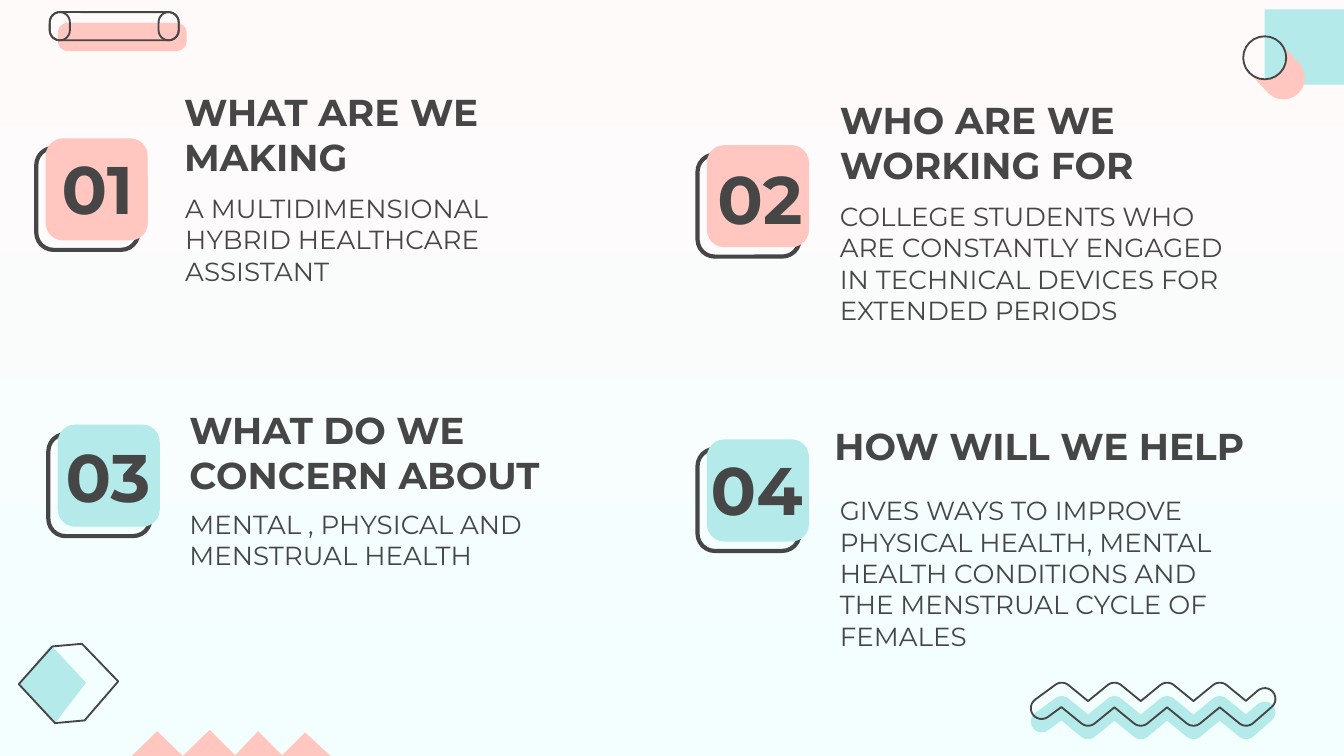
import math

from pptx import Presentation
from pptx.dml.color import RGBColor
from pptx.enum import shapes, text
from pptx.util import Inches, Pt

COLORS = {
    "ink": "464646",
    "pink": "FFC7C0",
    "teal": "B4EAEA",
    "top": "FFFAFA",
    "bottom": "F3FFFF",
}
FONT = "Montserrat"
SLIDE_WIDTH = 10
SLIDE_HEIGHT = SLIDE_WIDTH * 9 / 16

# number, badge colour, heading, body, then left/top of badge, number, heading and body
SECTIONS = [
    ("01", "pink", "WHAT ARE WE MAKING",
     "A MULTIDIMENSIONAL HYBRID HEALTHCARE ASSISTANT",
     (0.34, 1.03), (0.36, 1.34), (1.27, 0.97), (1.28, 1.33)),
    ("02", "pink", "WHO ARE WE WORKING FOR",
     "COLLEGE STUDENTS WHO ARE CONSTANTLY ENGAGED IN TECHNICAL DEVICES FOR EXTENDED PERIODS",
     (5.26, 1.08), (5.24, 1.41), (6.15, 1.03), (6.15, 1.39)),
    ("03", "teal", "WHAT DO WE CONCERN ABOUT",
     "MENTAL , PHYSICAL AND MENSTRUAL HEALTH",
     (0.43, 3.16), (0.39, 3.48), (1.31, 3.34), (1.31, 3.68)),
    ("04", "teal", "HOW WILL WE HELP",
     "GIVES WAYS TO IMPROVE PHYSICAL HEALTH, MENTAL HEALTH CONDITIONS AND THE MENSTRUAL CYCLE OF FEMALES",
     (5.26, 3.27), (5.19, 3.58), (6.11, 3.12), (6.15, 3.58)),
]


def rgb(name):
    return RGBColor.from_string(COLORS[name])


def paint(shape, fill=None, line_width=None):
    """Fill the shape, or leave it hollow; outline it in ink if a width is given."""
    shape.shadow.inherit = False
    if fill:
        shape.fill.solid()
        shape.fill.fore_color.rgb = rgb(fill)
    else:
        shape.fill.background()
    if line_width:
        shape.line.color.rgb = rgb("ink")
        shape.line.width = Pt(line_width)
    else:
        shape.line.fill.background()


def add_preset(slide, kind, left, top, width, height, fill=None, line_width=None, corner=None):
    shape = slide.shapes.add_shape(
        kind, Inches(left), Inches(top), Inches(width), Inches(height))
    if corner is not None:
        shape.adjustments[0] = corner
    paint(shape, fill, line_width)


def add_polygon(slide, points, fill=None, line_width=None):
    corners = [(Inches(x), Inches(y)) for x, y in points]
    builder = slide.shapes.build_freeform(*corners[0])
    builder.add_line_segments(corners[1:], close=True)
    paint(builder.convert_to_shape(), fill, line_width)


def arc(x, y, radius, start, sweep, steps=12):
    """Points on a circle around (x, y), angles in radians."""
    angles = [start + sweep * step / steps for step in range(steps + 1)]
    return [(x + radius * math.cos(a), y + radius * math.sin(a)) for a in angles]


def round_band(points, radius):
    """Outline of a round-ended band of the given radius around a polyline."""
    loop = points + points[-2:0:-1]
    outline = []
    for i, (x, y) in enumerate(loop):
        before, after = loop[i - 1], loop[(i + 1) % len(loop)]
        arriving = math.atan2(y - before[1], x - before[0])
        leaving = math.atan2(after[1] - y, after[0] - x)
        turn = (leaving - arriving) % math.tau
        if turn > math.pi + 0.01:
            turn -= math.tau
        normal = arriving - math.pi / 2
        if turn < 0:
            reach = radius / math.cos(turn / 2)
            outline += arc(x, y, reach, normal + turn / 2, 0, 1)[:1]
        else:
            outline += arc(x, y, radius, normal, turn)
    return outline


def write(shape, content, left, top, width, height, size, bold, anchor):
    shape.left, shape.top = Inches(left), Inches(top)
    shape.width, shape.height = Inches(width), Inches(height)
    frame = shape.text_frame
    frame.text = content
    frame.word_wrap = True
    frame.auto_size = text.MSO_AUTO_SIZE.NONE
    frame.vertical_anchor = anchor
    frame.margin_left = frame.margin_right = Inches(0.1)
    frame.margin_top = frame.margin_bottom = Inches(0.1)
    paragraph = frame.paragraphs[0]
    paragraph.alignment = text.PP_ALIGN.LEFT
    font = paragraph.runs[0].font
    font.name, font.size, font.bold = FONT, Pt(size), bold
    font.color.rgb = rgb("ink")


def add_background(slide):
    fill = slide.background.fill
    fill.gradient()
    fill.gradient_angle = 270
    for stop, name in zip(fill.gradient_stops, ("top", "bottom")):
        stop.color.rgb = rgb(name)


def add_cylinder(slide):
    rounded = shapes.MSO_SHAPE.ROUNDED_RECTANGLE
    add_preset(slide, rounded, 0.43, 0.17, 0.96, 0.21, "pink", corner=0.36)
    add_preset(slide, rounded, 0.37, 0.09, 0.96, 0.21, line_width=1, corner=0.36)
    for left in (0.37, 1.18):
        add_preset(slide, rounded, left, 0.09, 0.15, 0.21, line_width=1, corner=0.5)


def add_corner_circle(slide):
    add_preset(slide, shapes.MSO_SHAPE.RECTANGLE, 9.41, 0.07, 0.86, 0.56, "teal")
    upper_right = -math.pi / 4
    crescent = (arc(9.41, 0.43, 0.16, upper_right, math.pi)
                + arc(9.55, 0.58, 0.16, upper_right + math.pi, -math.pi))
    add_polygon(slide, crescent, "pink")
    add_preset(slide, shapes.MSO_SHAPE.OVAL, 9.25, 0.27, 0.32, 0.32, line_width=1)


def add_waves(slide):
    bends = [(7.9 + 0.196 * i, 5.32 if i % 2 else 5.16) for i in range(8)]
    line = [(7.75, 5.27)] + bends + [(9.41, 5.2)]
    shadow = [(x, y + 0.1) for x, y in line]
    add_polygon(slide, round_band(shadow, 0.08), "teal")
    add_polygon(slide, round_band(line, 0.08), line_width=1)


def add_hexagon(slide):
    add_polygon(slide, [(0.38, 4.8), (0.14, 5.09), (0.41, 5.38), (0.64, 5.08)], "teal")
    add_polygon(slide, [(0.61, 4.79), (0.88, 5.07), (0.63, 5.36),
                        (0.41, 5.38), (0.14, 5.09), (0.39, 4.81)], line_width=1)


def add_peaks(slide):
    add_polygon(slide, [(0.98, SLIDE_HEIGHT), (1.17, 5.44), (1.36, SLIDE_HEIGHT),
                        (1.56, 5.43), (1.75, 5.62), (1.92, 5.44),
                        (2.1, 5.62), (2.27, 5.45), (2.46, SLIDE_HEIGHT)], "pink")


def add_badge(slide, left, top, color):
    rounded = shapes.MSO_SHAPE.ROUNDED_RECTANGLE
    add_preset(slide, rounded, left - 0.07, top + 0.07, 0.76, 0.76, line_width=2.25, corner=0.17)
    add_preset(slide, rounded, left, top, 0.76, 0.76, color, corner=0.17)


def new_text_box(slide):
    return slide.shapes.add_textbox(0, 0, Inches(1), Inches(1))


def add_section(slide, section, heading_shape):
    number, color, heading, body, badge_at, number_at, heading_at, body_at = section
    bottom, top = text.MSO_ANCHOR.BOTTOM, text.MSO_ANCHOR.TOP
    add_badge(slide, *badge_at, color)
    write(heading_shape, heading, *heading_at, 3.29, 0.46, 20, True, bottom)
    write(new_text_box(slide), body, *body_at, 3.21, 0.63, 14, False, top)
    write(new_text_box(slide), number, *number_at, 1.03, 0.46, 36, True, bottom)


def main():
    presentation = Presentation()
    presentation.slide_width = Inches(SLIDE_WIDTH)
    presentation.slide_height = Inches(SLIDE_HEIGHT)
    slide = presentation.slides.add_slide(presentation.slide_layouts[5])
    add_background(slide)
    add_corner_circle(slide)
    add_waves(slide)
    add_hexagon(slide)
    add_cylinder(slide)
    add_peaks(slide)
    for index, section in enumerate(SECTIONS):
        heading_shape = new_text_box(slide) if index else slide.shapes.title
        add_section(slide, section, heading_shape)
    presentation.save("out.pptx")


if __name__ == "__main__":
    main()
